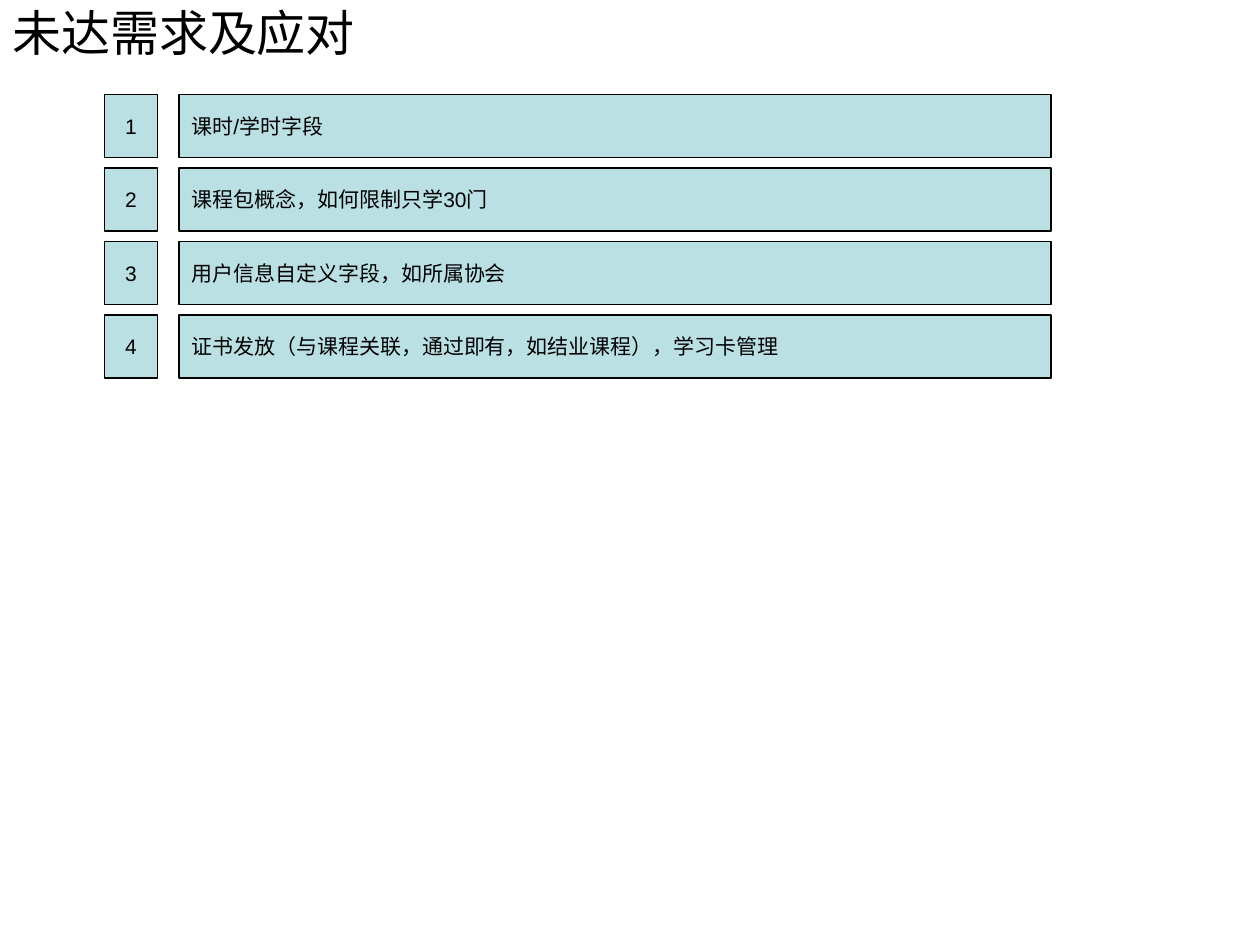
from pptx import Presentation
from pptx.dml.color import RGBColor
from pptx.enum.shapes import MSO_SHAPE
from pptx.enum.text import MSO_ANCHOR, PP_ALIGN
from pptx.util import Inches, Pt

RECT = MSO_SHAPE.RECTANGLE
PROCESS = MSO_SHAPE.FLOWCHART_PROCESS
LEFT, CENTER = PP_ALIGN.LEFT, PP_ALIGN.CENTER
MIDDLE = MSO_ANCHOR.MIDDLE

FONT = "Arial"
BLACK = "000000"
PALE_TEAL = "BBE0E3"

REQUIREMENTS = [
    "课时/学时字段",
    "课程包概念，如何限制只学30门",
    "用户信息自定义字段，如所属协会",
    "证书发放（与课程关联，通过即有，如结业课程），学习卡管理",
]
TOP = 0.75
ROW_HEIGHT = 0.5
ROW_PITCH = 1.75 / 3


def color(hex_str):
    return RGBColor.from_string(hex_str)


def write_text(sp, text, size=12, align=LEFT, hex_color=BLACK):
    tf = sp.text_frame
    tf.word_wrap = True
    tf.vertical_anchor = MIDDLE
    p = tf.paragraphs[0]
    p.alignment = align
    r = p.add_run()
    r.text = text
    r.font.name = FONT
    r.font.size = Pt(size)
    r.font.color.rgb = color(hex_color)


def add_title(s, text):
    sp = s.shapes.add_textbox(Inches(0), Inches(0), Inches(9), Inches(0.5))
    write_text(sp, text, size=28)


def add_box(s, kind, left, top, width, text, align=LEFT):
    sp = s.shapes.add_shape(
        kind, Inches(left), Inches(top), Inches(width), Inches(ROW_HEIGHT)
    )
    sp.shadow.inherit = False
    sp.fill.solid()
    sp.fill.fore_color.rgb = color(PALE_TEAL)
    sp.line.color.rgb = color(BLACK)
    sp.line.width = Pt(0.75)
    write_text(sp, text, align=align)


def add_requirement(s, number, text):
    top = TOP + (number - 1) * ROW_PITCH
    add_box(s, PROCESS, 1.42, top, 6.92, text)
    add_box(s, RECT, 0.83, top, 0.42, str(number), align=CENTER)


def main():
    prs = Presentation()
    prs.slide_width = Inches(10)
    prs.slide_height = Inches(7.5)
    s = prs.slides.add_slide(prs.slide_layouts[6])
    add_title(s, "未达需求及应对")
    for number, text in enumerate(REQUIREMENTS, start=1):
        add_requirement(s, number, text)
    prs.save("out.pptx")


if __name__ == "__main__":
    main()
